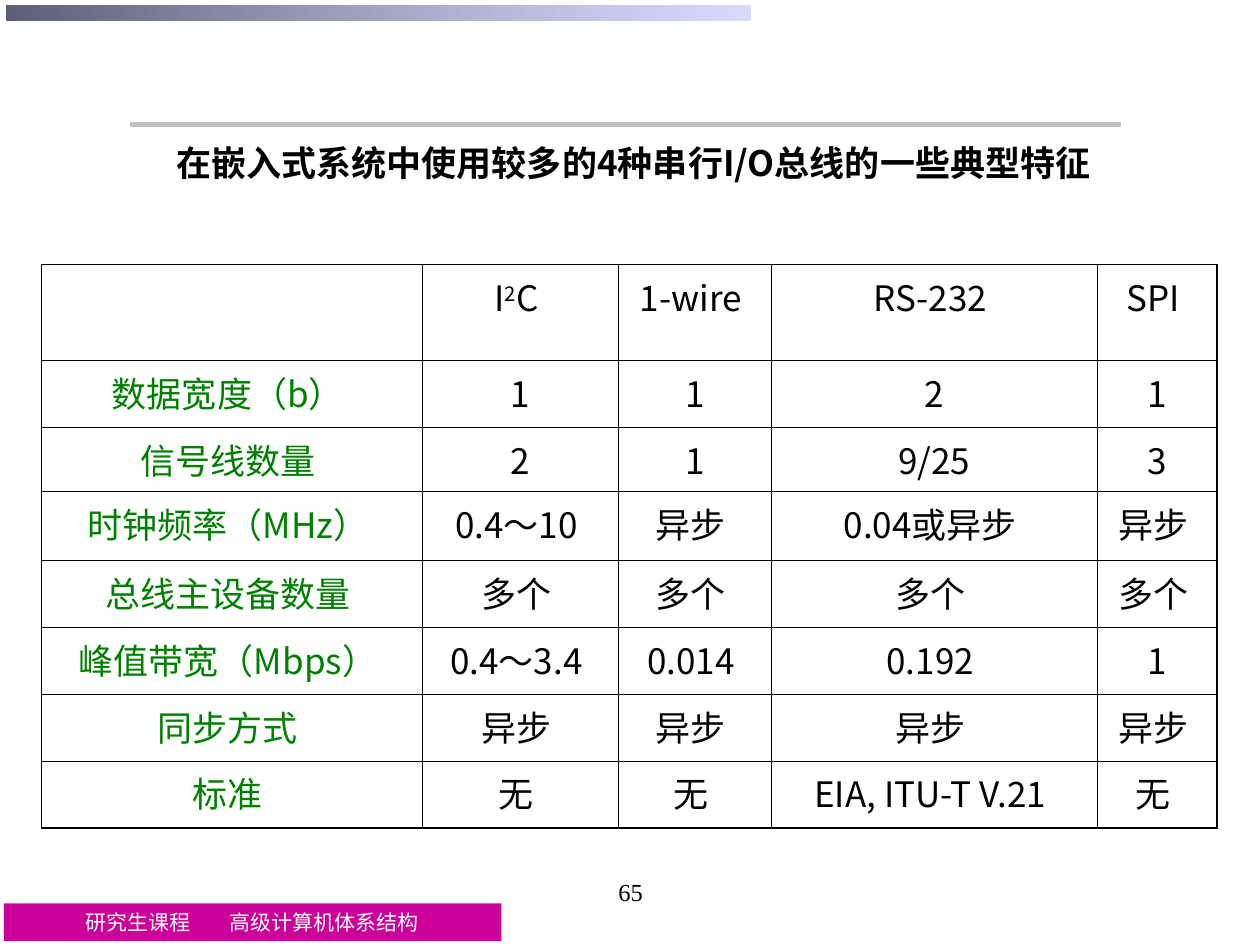
from dataclasses import dataclass

from lxml import etree
from pptx import Presentation
from pptx import util as u
from pptx.dml.color import RGBColor
from pptx.enum import shapes, text
from pptx.oxml.ns import qn


@dataclass(frozen=True)
class Theme:
    heading_font: str = "Noto Sans CJK SC"
    footer_font: str = "Times New Roman"
    ink: str = "000000"
    label: str = "008000"
    footer_fill: str = "CC0099"
    footer_ink: str = "FFFFFF"
    band_start: str = "5E5E76"
    band_end: str = "CCCCFF"
    rule: str = "C0C0C0"
    body_size: int = 20
    page_size: int = 14
    footer_size: int = 12
    outer_border: float = 1.08
    inner_border: float = 0.45


THEME = Theme()
COLUMNS = [3.02, 1.56, 1.21, 2.59, 0.95]
ROWS = [0.76, 0.53, 0.51, 0.55, 0.53, 0.53, 0.53, 0.53]
BUSES = [
    ["", ("I", "2", "C "), "1-wire ", "RS-232 ", "SPI "],
    ["数据宽度（b） ", "1", "1", "2", "1"],
    ["信号线数量 ", "2", "1", "9/25", "3"],
    ["时钟频率（MHz） ", "0.4～10 ", "异步 ", "0.04或异步 ", "异步 "],
    ["总线主设备数量 ", "多个 ", "多个 ", "多个 ", "多个 "],
    ["峰值带宽（Mbps） ", "0.4～3.4 ", "0.014 ", "0.192 ", "1"],
    ["同步方式 ", "异步 ", "异步 ", "异步 ", "异步 "],
    ["标准 ", "无 ", "无 ", "EIA, ITU-T V.21 ", "无 "],
]


def inches(*lengths):
    return [u.Inches(length) for length in lengths]


def rgb(color):
    return RGBColor.from_string(color)


def style(paragraph, size, color, font=THEME.heading_font, bold=False,
          align=text.PP_ALIGN.CENTER):
    paragraph.alignment = align
    paragraph.font.size = u.Pt(size)
    paragraph.font.bold = bold
    paragraph.font.name = font
    paragraph.font.color.rgb = rgb(color)
    defaults = paragraph._p.pPr.find(qn("a:defRPr"))
    etree.SubElement(defaults, qn("a:ea")).set("typeface", THEME.heading_font)


def add_bar(slide, *box):
    bar = slide.shapes.add_shape(shapes.MSO_SHAPE.RECTANGLE, *inches(*box))
    bar.shadow.inherit = False
    bar.line.fill.background()
    return bar


def add_top_band(slide):
    band = add_bar(slide, 0.05, 0.04, 5.91, 0.12)
    band.fill.gradient()
    band.fill.gradient_angle = 0
    start, end = band.fill.gradient_stops
    start.color.rgb = rgb(THEME.band_start)
    end.color.rgb = rgb(THEME.band_end)
    end_color = band._element.spPr.findall(".//" + qn("a:srgbClr"))[-1]
    etree.SubElement(end_color, qn("a:alpha")).set("val", "72000")


def add_footer(slide, course, subject):
    footer = add_bar(slide, 0.03, 7.17, 3.95, 0.3)
    footer.fill.solid()
    footer.fill.fore_color.rgb = rgb(THEME.footer_fill)
    footer.text_frame.margin_left = u.Inches(0.65)
    footer.text_frame.word_wrap = True
    line = footer.text_frame.paragraphs[0]
    line.text = f"{course}\t{subject}"
    tabs = etree.SubElement(line._p.get_or_add_pPr(), qn("a:tabLst"))
    etree.SubElement(tabs, qn("a:tab"), pos=str(u.Inches(1.14)), algn="l")
    style(line, THEME.footer_size, THEME.footer_ink, THEME.footer_font,
          align=text.PP_ALIGN.LEFT)


def add_rule(slide):
    rule = slide.shapes.add_connector(
        shapes.MSO_CONNECTOR.STRAIGHT, *inches(1.03, 0.99, 8.9, 0.99))
    rule.line.color.rgb = rgb(THEME.rule)
    rule.line.width = u.Pt(2.75)
    etree.SubElement(rule._element.spPr, qn("a:effectLst"))


def set_title(slide, heading):
    title = slide.shapes.title
    title.left, title.top, title.width, title.height = inches(1.3, 1.07, 7.64, 0.9)
    frame = title.text_frame
    frame.text = heading
    frame.word_wrap = True
    frame.auto_size = text.MSO_AUTO_SIZE.NONE
    frame.vertical_anchor = text.MSO_ANCHOR.TOP
    line = frame.paragraphs[0]
    hanging = u.Inches(0.5)
    properties = line._p.get_or_add_pPr()
    properties.set("marL", str(hanging))
    properties.set("indent", str(-hanging))
    line.line_spacing = 1.0
    style(line, THEME.body_size, THEME.ink, bold=True, align=text.PP_ALIGN.LEFT)


def add_page_number(slide, number):
    frame = slide.shapes.add_textbox(*inches(3.42, 6.91, 3.17, 0.5)).text_frame
    frame.word_wrap = True
    frame.text = number
    style(frame.paragraphs[0], THEME.page_size, THEME.ink, THEME.footer_font)


def set_borders(cell, outer_sides):
    """Draw all four sides, heavier on those at the table's edge."""
    properties = cell._tc.get_or_add_tcPr()
    for side in "LRTB":
        points = THEME.outer_border if side in outer_sides else THEME.inner_border
        border = etree.SubElement(properties, qn(f"a:ln{side}"), w=str(u.Pt(points)))
        fill = etree.SubElement(border, qn("a:solidFill"))
        etree.SubElement(fill, qn("a:srgbClr"), val=THEME.ink)


def fill_cell(cell, content, color):
    """Write the content; a tuple alternates normal and superscript runs."""
    line = cell.text_frame.paragraphs[0]
    for position, part in enumerate(content if isinstance(content, tuple) else (content,)):
        run = line.add_run()
        run.text = part
        if position % 2:
            run._r.get_or_add_rPr().set("baseline", "30000")
    style(line, THEME.body_size, color)


def add_bus_table(slide):
    table = slide.shapes.add_table(
        len(ROWS), len(COLUMNS),
        *inches(0.33, 2.1, sum(COLUMNS), sum(ROWS))).table
    table.first_row = table.horz_banding = False
    for column, width in zip(table.columns, COLUMNS):
        column.width = u.Inches(width)
    for row, height in zip(table.rows, ROWS):
        row.height = u.Inches(height)
    for r, features in enumerate(BUSES):
        for c, content in enumerate(features):
            cell = table.cell(r, c)
            edges = {"L": c == 0, "R": c == len(COLUMNS) - 1,
                     "T": r == 0, "B": r == len(ROWS) - 1}
            set_borders(cell, [side for side, outer in edges.items() if outer])
            cell.fill.background()
            if content:
                fill_cell(cell, content, THEME.ink if c else THEME.label)


def main():
    deck = Presentation()
    deck.slide_width, deck.slide_height = inches(10, 7.5)
    slide = deck.slides.add_slide(deck.slide_layouts[5])
    add_footer(slide, "研究生课程", "高级计算机体系结构")
    add_top_band(slide)
    add_rule(slide)
    add_page_number(slide, "65")
    set_title(slide, "在嵌入式系统中使用较多的4种串行I/O总线的一些典型特征")
    add_bus_table(slide)
    deck.save("out.pptx")


if __name__ == "__main__":
    main()
